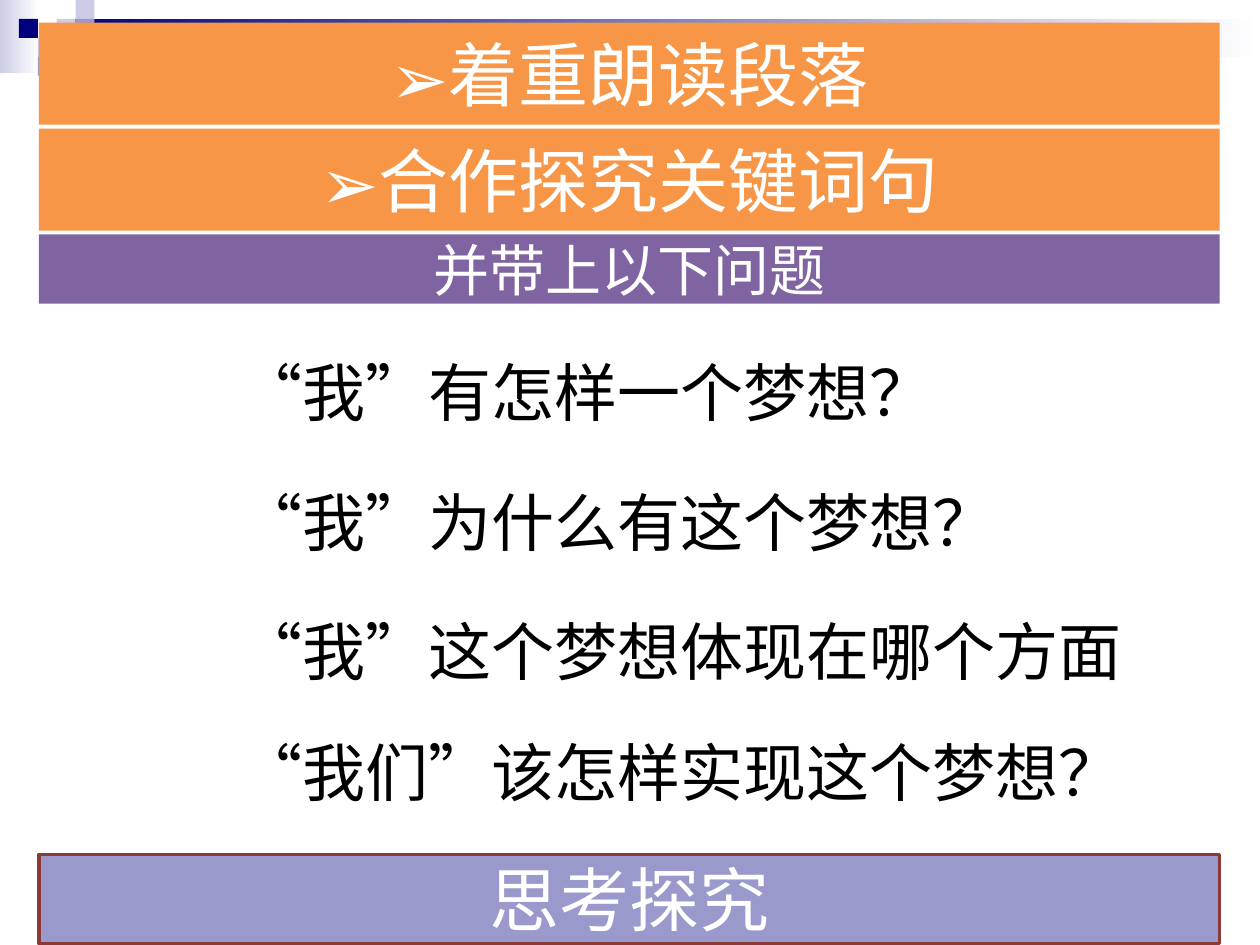
import pptx
import pptx.dml.color
import pptx.enum.shapes
import pptx.enum.text
import pptx.oxml.ns
import pptx.util
from lxml import etree

RGBColor = pptx.dml.color.RGBColor
Inches = pptx.util.Inches
PP_ALIGN = pptx.enum.text.PP_ALIGN

FONT = "Noto Sans CJK SC"
WHITE = RGBColor(0xFF, 0xFF, 0xFF)
BLACK = RGBColor(0, 0, 0)
NAVY = RGBColor(0x00, 0x00, 0x7D)
LAVENDER = RGBColor(0xCC, 0xCC, 0xE6)
PERIWINKLE = RGBColor(0x99, 0x99, 0xCC)
ORANGE = RGBColor(0xF7, 0x96, 0x46)
PURPLE = RGBColor(0x80, 0x64, 0xA2)
BRICK = RGBColor(0x8C, 0x3A, 0x38)

HEADING = "思考探究"
# text, height, fill, size, bulleted
BANNERS = [
    ("着重朗读段落", 0.81, ORANGE, 40, True),
    ("合作探究关键词句", 0.81, ORANGE, 40, True),
    ("并带上以下问题", 0.55, PURPLE, 32, False),
]
# text, top
QUESTIONS = [
    ("“我”有怎样一个梦想？", 2.76),
    ("“我”为什么有这个梦想？", 3.79),
    ("“我”这个梦想体现在哪个方面", 4.81),
    ("“我们”该怎样实现这个梦想？", 5.77),
]
# left, top, width, height, start colour
FADES = [(0, 0, 0.31, 0.58, LAVENDER), (0.45, 0.15, 9.55, 0.3, NAVY)]
TILE = 0.15
# column, row, colour on the tile grid
TILES = [
    (3, 1, LAVENDER), (4, 0, LAVENDER), (4, 1, PERIWINKLE),
    (2, 2, LAVENDER), (1, 1, NAVY), (2, 3, PERIWINKLE),
]
BAR_LEFT, BAR_WIDTH, BAR_TOP, BAR_GAP = 0.31, 9.37, 0.18, 0.03
QUESTION_LEFT, QUESTION_SIZE, QUESTION_HEIGHT = 1.8, 36, 0.7


def add_bullet(p, char, color):
    pPr = p._p.get_or_add_pPr()
    pPr.set("marL", str(Inches(0.31)))
    pPr.set("indent", str(-Inches(0.31)))
    qn = pptx.oxml.ns.qn
    bu_color = etree.SubElement(pPr, qn("a:buClr"))
    etree.SubElement(bu_color, qn("a:srgbClr"), val=str(color))
    etree.SubElement(pPr, qn("a:buFont"), typeface=FONT)
    etree.SubElement(pPr, qn("a:buChar"), char=char)


def write(s, text, size=40, color=WHITE, align=PP_ALIGN.CENTER,
          anchor=pptx.enum.text.MSO_ANCHOR.MIDDLE, wrap=True, bullet=None):
    tf = s.text_frame
    tf.auto_size = pptx.enum.text.MSO_AUTO_SIZE.NONE
    tf.word_wrap = wrap
    tf.vertical_anchor = anchor
    p = tf.paragraphs[0]
    p.alignment = align
    if bullet:
        add_bullet(p, bullet, color)
    r = p.add_run()
    r.text = text
    r.font.name = FONT
    r.font.size = pptx.util.Pt(size)
    r.font.color.rgb = color
    rPr = r.font._element
    rPr.set("lang", "zh-CN")
    etree.SubElement(rPr, pptx.oxml.ns.qn("a:ea"), typeface=FONT)


def add_rect(slide, left, top, width, height, color, fade_to=None):
    s = slide.shapes.add_shape(
        pptx.enum.shapes.MSO_SHAPE.RECTANGLE,
        Inches(left), Inches(top), Inches(width), Inches(height))
    s.shadow.inherit = False
    s.line.fill.background()
    if fade_to is None:
        s.fill.solid()
        s.fill.fore_color.rgb = color
    else:
        s.fill.gradient()
        s.fill.gradient_angle = 0
        for stop, stop_color in zip(s.fill.gradient_stops, (color, fade_to)):
            stop.color.rgb = stop_color
    return s


def add_heading(slide):
    s = slide.shapes.title
    s.left, s.top = Inches(BAR_LEFT), Inches(6.78)
    s.width, s.height = Inches(BAR_WIDTH), Inches(0.71)
    s.fill.solid()
    s.fill.fore_color.rgb = PERIWINKLE
    s.line.color.rgb = BRICK
    s.line.width = pptx.util.Pt(2)
    write(s, HEADING)


def main():
    prs = pptx.Presentation()
    prs.slide_width, prs.slide_height = Inches(10), Inches(7.5)
    slide = prs.slides.add_slide(prs.slide_layouts.get_by_name("Title Only"))

    for left, top, width, height, color in FADES:
        add_rect(slide, left, top, width, height, color, fade_to=WHITE)
    for column, row, color in TILES:
        add_rect(slide, column * TILE, row * TILE, TILE, TILE, color)

    for text, top in QUESTIONS:
        width = len(text) * QUESTION_SIZE / 72 + 0.2
        s = slide.shapes.add_textbox(Inches(QUESTION_LEFT), Inches(top),
                                     Inches(width), Inches(QUESTION_HEIGHT))
        write(s, text, size=QUESTION_SIZE, color=BLACK, align=PP_ALIGN.LEFT,
              anchor=pptx.enum.text.MSO_ANCHOR.TOP, wrap=False)

    add_heading(slide)
    top = BAR_TOP
    for text, height, color, size, bulleted in BANNERS:
        s = add_rect(slide, BAR_LEFT, top, BAR_WIDTH, height, color)
        write(s, text, size=size, bullet="➢" if bulleted else None)
        top += height + BAR_GAP

    prs.save("out.pptx")


if __name__ == "__main__":
    main()
